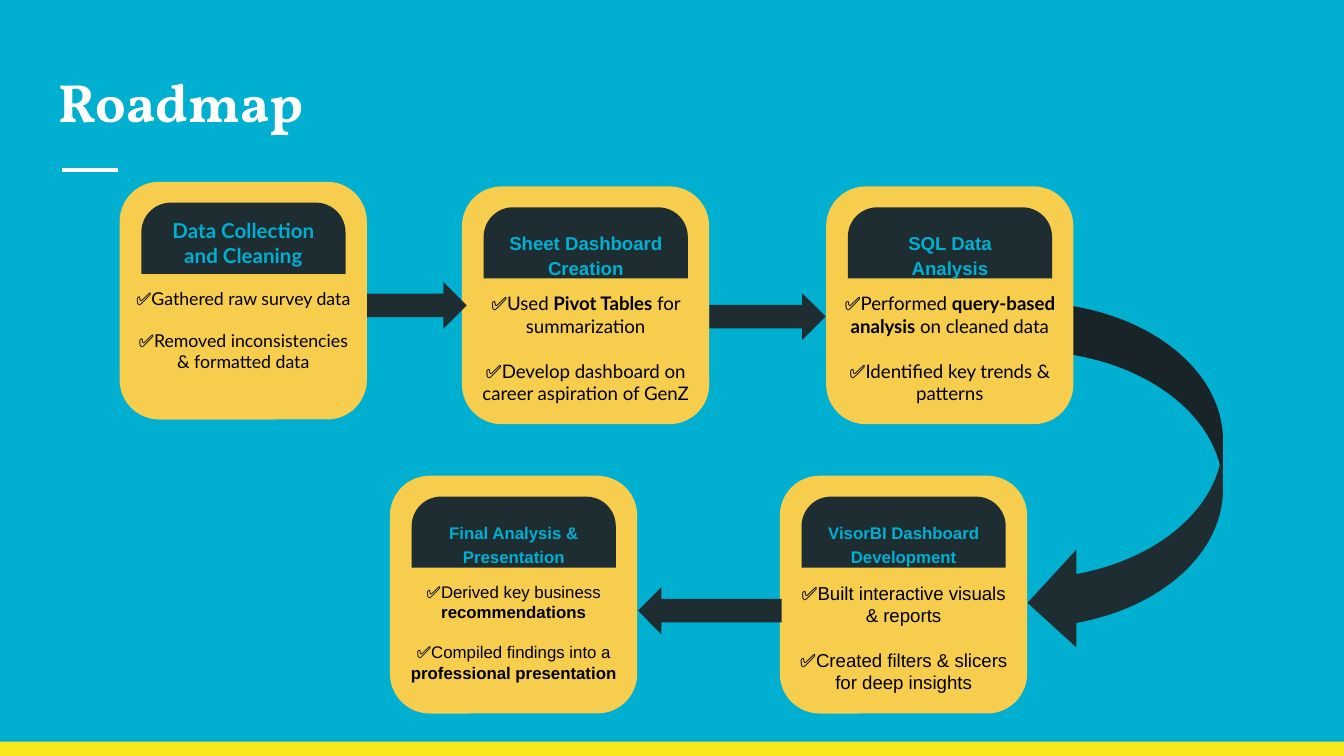
from dataclasses import dataclass

from lxml import etree
from pptx import Presentation
from pptx.dml.color import RGBColor
from pptx.enum import shapes, text
from pptx.oxml import ns
from pptx.util import Pt

CYAN = RGBColor(0x01, 0xAF, 0xD1)
GOLD = RGBColor(0xF6, 0xCD, 0x4C)
DARK = RGBColor(0x1E, 0x2D, 0x31)
YELLOW = RGBColor(0xF8, 0xE7, 0x1C)
WHITE = RGBColor(0xFF, 0xFF, 0xFF)
BLACK = RGBColor(0, 0, 0)

CARD_W, CARD_H = 132.5, 127.4
HEAD_DX, HEAD_DY, HEAD_W, HEAD_H = 11.6, 11.2, 109.4, 38.1
BODY_DY, BODY_H = 49.4, 67
INSET = 7.2
CHECK = "✅"


@dataclass(frozen=True)
class Card:
    x: float
    y: float
    heading: str
    points: tuple[str, ...]
    body_size: float = 10
    body_font: str = "Lato"
    head_size: float = 10
    head_font: str = "Arial"
    head_spacing: float = 1.15
    head_bottom: float = 0


@dataclass(frozen=True)
class Arrow:
    kind: shapes.MSO_SHAPE
    x: float
    y: float
    w: float
    h: float = 25.2
    adjust: tuple[float, ...] = (0.5, 0.5)


CARDS = (
    Card(64.1, 97.4, "Data Collection and Cleaning",
         ("Gathered raw survey data",
          "Removed inconsistencies & formatted data"),
         body_size=9.5, head_size=11, head_font="Lato",
         head_spacing=1, head_bottom=INSET),
    Card(247.5, 99.9, "Sheet Dashboard Creation",
         ("Used *Pivot Tables* for summarization",
          "Develop dashboard on career aspiration of GenZ")),
    Card(442.6, 99.9, "SQL Data Analysis",
         ("Performed *query-based analysis* on cleaned data",
          "Identified key trends & patterns")),
    Card(417.8, 254.9, "VisorBI Dashboard Development",
         ("Built interactive visuals & reports",
          "Created filters & slicers for deep insights"),
         body_font="Arial", head_size=9),
    Card(208.9, 254.9, "Final Analysis & Presentation",
         ("Derived key business *recommendations*",
          "Compiled findings into a *professional presentation*"),
         body_size=9, body_font="Arial", head_size=9),
)

RETURN_ARROW = Arrow(shapes.MSO_SHAPE.CURVED_LEFT_ARROW,
                     550.5, 162, 104.7, 187.2, (0.25, 0.5, 0.25))
STEP_ARROWS = (
    Arrow(shapes.MSO_SHAPE.RIGHT_ARROW, 196.7, 151, 53.4),
    Arrow(shapes.MSO_SHAPE.RIGHT_ARROW, 380, 157, 62.3),
    Arrow(shapes.MSO_SHAPE.LEFT_ARROW, 341.8, 314.6, 77),
)


def add_block(s, kind, x: float, y: float, w: float, h: float,
              color: RGBColor, adjust: tuple[float, ...] = ()):
    sp = s.shapes.add_shape(kind, Pt(x), Pt(y), Pt(w), Pt(h))
    sp.shadow.inherit = False
    sp.fill.solid()
    sp.fill.fore_color.rgb = color
    sp.line.fill.background()
    for i, value in enumerate(adjust):
        sp.adjustments[i] = value
    return sp


def add_arrow(s, a: Arrow) -> None:
    add_block(s, a.kind, a.x, a.y, a.w, a.h, DARK, a.adjust)


def set_frame(tf, anchor, bottom: float = INSET) -> None:
    values = {"word_wrap": True, "vertical_anchor": anchor,
              "margin_left": Pt(INSET), "margin_right": Pt(INSET),
              "margin_top": Pt(INSET), "margin_bottom": Pt(bottom)}
    for name, value in values.items():
        setattr(tf, name, value)


def add_run(p, content: str, font: str, size: float,
            color: RGBColor, bold: bool = False) -> None:
    r = p.add_run()
    r.text = content
    for name, value in {"name": font, "size": Pt(size), "bold": bold}.items():
        setattr(r.font, name, value)
    r.font.color.rgb = color


def add_text(s, x: float, y: float, w: float, h: float):
    tf = s.shapes.add_textbox(Pt(x), Pt(y), Pt(w), Pt(h)).text_frame
    set_frame(tf, text.MSO_ANCHOR.TOP)
    return tf


def add_card(s, c: Card) -> None:
    add_block(s, shapes.MSO_SHAPE.ROUNDED_RECTANGLE,
              c.x, c.y, CARD_W, CARD_H, GOLD, (0.167,))

    tf = add_text(s, c.x, c.y + BODY_DY, CARD_W, BODY_H)
    for i, point in enumerate(c.points):
        p = tf.add_paragraph() if i else tf.paragraphs[0]
        p.alignment = text.PP_ALIGN.CENTER
        if i:
            p.space_before = Pt(1.2 * c.body_size)
        add_run(p, CHECK, "Lato", c.body_size, BLACK)
        for j, part in enumerate(point.split("*")):
            if part:
                add_run(p, part, c.body_font, c.body_size, BLACK, j % 2 == 1)

    head = add_block(s, shapes.MSO_SHAPE.ROUND_2_SAME_RECTANGLE,
                     c.x + HEAD_DX, c.y + HEAD_DY, HEAD_W, HEAD_H,
                     DARK, (0.415, 0))
    set_frame(head.text_frame, text.MSO_ANCHOR.MIDDLE, c.head_bottom)
    p = head.text_frame.paragraphs[0]
    p.alignment = text.PP_ALIGN.CENTER
    p.line_spacing = c.head_spacing
    add_run(p, c.heading, c.head_font, c.head_size, CYAN, True)


def add_rule(s, x1: float, x2: float, y: float) -> None:
    ln = s.shapes.add_connector(shapes.MSO_CONNECTOR.STRAIGHT,
                                Pt(x1), Pt(y), Pt(x2), Pt(y))
    ln.line.color.rgb = WHITE
    ln.line.width = Pt(2.25)
    etree.SubElement(ln._element.spPr, ns.qn("a:effectLst"))


def main() -> None:
    prs = Presentation()
    prs.slide_width, prs.slide_height = Pt(720), Pt(405)
    s = prs.slides.add_slide(prs.slide_layouts[6])
    s.background.fill.solid()
    s.background.fill.fore_color.rgb = CYAN

    add_block(s, shapes.MSO_SHAPE.RECTANGLE, 0, 397.3, 720, 7.7, YELLOW)
    add_rule(s, 33.2, 63.2, 91)
    add_arrow(s, RETURN_ARROW)
    title = add_text(s, 24.5, 29.5, 671, 51.1)
    add_run(title.paragraphs[0], "Roadmap", "Vollkorn", 28.8, WHITE, True)
    for c in CARDS:
        add_card(s, c)
    for a in STEP_ARROWS:
        add_arrow(s, a)

    prs.save("out.pptx")


if __name__ == "__main__":
    main()
